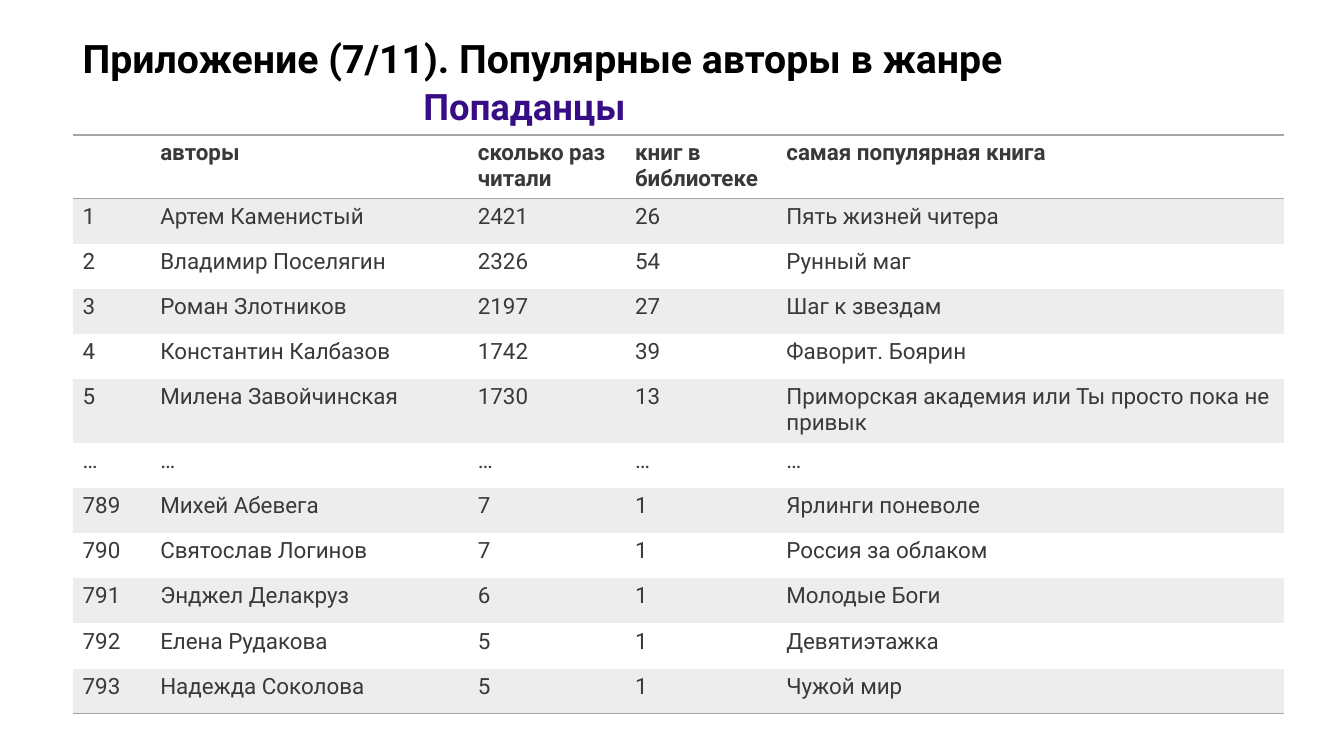
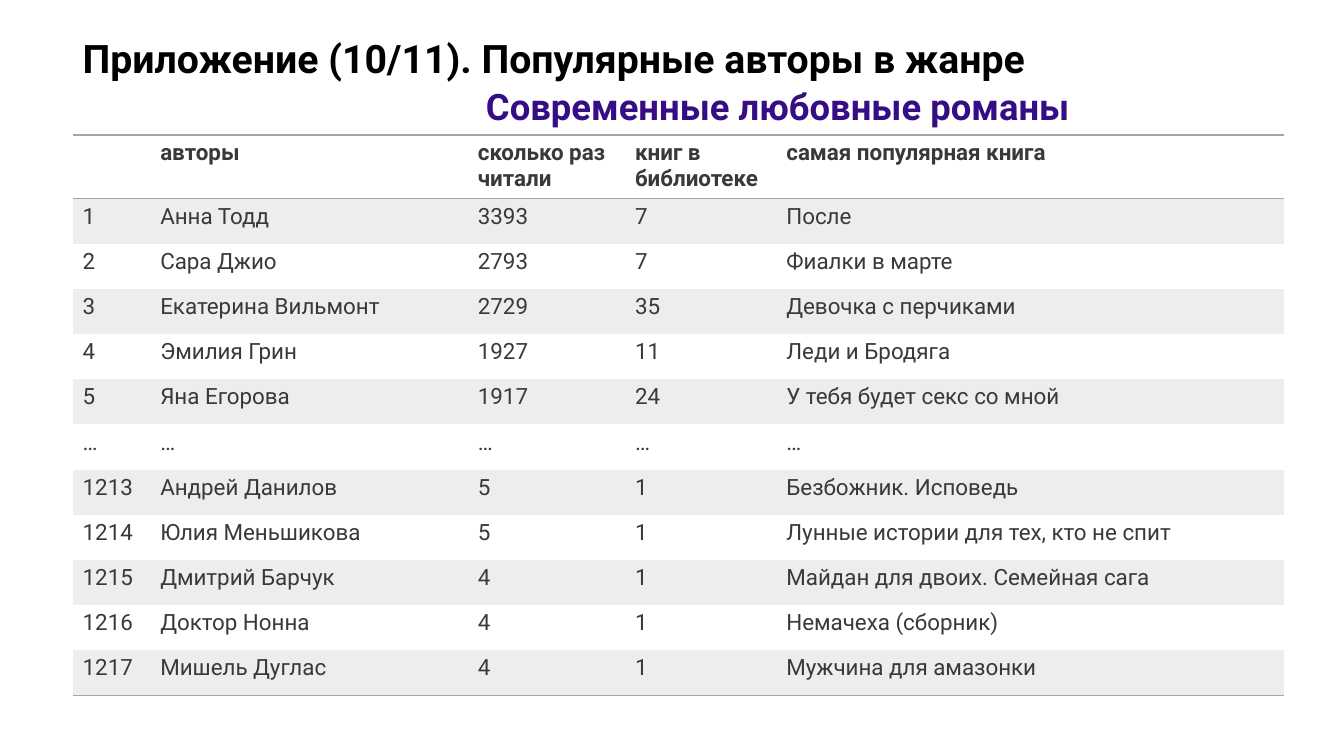
import dataclasses

import pptx
import pptx.dml.color
import pptx.enum.text
import pptx.oxml.ns
import pptx.util
from lxml import etree

Inches = pptx.util.Inches
Pt = pptx.util.Pt
qn = pptx.oxml.ns.qn


@dataclasses.dataclass(frozen=True)
class Theme:
    font: str = "Roboto"
    title: str = "000000"
    genre: str = "370D86"
    body: str = "3B3838"
    band: str = "EDEDED"
    rule: str = "A5A5A5"
    title_size: int = 28
    genre_size: int = 26
    body_size: int = 16
    rule_width: int = 1


THEME = Theme()
PLAIN_TABLE_STYLE = "{2D5ABB26-0587-4C30-8999-92F81FD0307C}"

LEFT = 0.72
TITLE_TOP, TITLE_HEIGHT = 0.29, 1.04
TABLE_TOP, TABLE_HEIGHT = 1.34, 5.56
TWO_LINE_ROW = 0.63
COLUMNS = [0.77, 3.15, 1.56, 1.5, 5.04]
HEADER = ["", "авторы", "сколько раз читали", "книг в библиотеке", "самая популярная книга"]
GAP_ROW = ["…"] * len(COLUMNS)

TIME_TRAVEL_AUTHORS = [
    ["1", "Артем Каменистый", "2421", "26", "Пять жизней читера"],
    ["2", "Владимир Поселягин", "2326", "54", "Рунный маг"],
    ["3", "Роман Злотников", "2197", "27", "Шаг к звездам"],
    ["4", "Константин Калбазов", "1742", "39", "Фаворит. Боярин"],
    ["5", "Милена Завойчинская", "1730", "13", "Приморская академия или Ты просто пока не привык"],
    GAP_ROW,
    ["789", "Михей Абевега", "7", "1", "Ярлинги поневоле"],
    ["790", "Святослав Логинов", "7", "1", "Россия за облаком"],
    ["791", "Энджел Делакруз", "6", "1", "Молодые Боги"],
    ["792", "Елена Рудакова", "5", "1", "Девятиэтажка"],
    ["793", "Надежда Соколова", "5", "1", "Чужой мир"],
]

ROMANCE_AUTHORS = [
    ["1", "Анна Тодд", "3393", "7", "После"],
    ["2", "Сара Джио", "2793", "7", "Фиалки в марте"],
    ["3", "Екатерина Вильмонт", "2729", "35", "Девочка с перчиками"],
    ["4", "Эмилия Грин", "1927", "11", "Леди и Бродяга"],
    ["5", "Яна Егорова", "1917", "24", "У тебя будет секс со мной"],
    GAP_ROW,
    ["1213", "Андрей Данилов", "5", "1", "Безбожник. Исповедь"],
    ["1214", "Юлия Меньшикова", "5", "1", "Лунные истории для тех, кто не спит"],
    ["1215", "Дмитрий Барчук", "4", "1", "Майдан для двоих. Семейная сага"],
    ["1216", "Доктор Нонна", "4", "1", "Немачеха (сборник)"],
    ["1217", "Мишель Дуглас", "4", "1", "Мужчина для амазонки"],
]


def rgb(code):
    return pptx.dml.color.RGBColor.from_string(code)


def add_span(para, text, size, color, bold):
    span = para.add_run()
    span.text = text
    span.font.name = THEME.font
    span.font.size = Pt(size)
    span.font.bold = bold
    span.font.color.rgb = rgb(color)


def set_title(page, number, genre, width, genre_indent):
    """Fill the title placeholder: a heading line and an indented genre line."""
    box = page.shapes.title
    box.left, box.top = Inches(LEFT), Inches(TITLE_TOP)
    box.width, box.height = Inches(width), Inches(TITLE_HEIGHT)
    frame = box.text_frame
    frame.word_wrap = True
    frame.auto_size = pptx.enum.text.MSO_AUTO_SIZE.NONE
    frame.vertical_anchor = pptx.enum.text.MSO_ANCHOR.TOP

    heading = frame.paragraphs[0]
    add_span(heading, f"Приложение ({number}/11). Популярные авторы в жанре",
             THEME.title_size, THEME.title, True)
    genre_line = frame.add_paragraph()
    genre_line._p.get_or_add_pPr().set("marL", str(Inches(genre_indent)))
    genre_line.space_before = Pt(2)
    add_span(genre_line, genre, THEME.genre_size, THEME.genre, True)
    for para in frame.paragraphs:
        para.alignment = pptx.enum.text.PP_ALIGN.LEFT


def add_rule(cell, side):
    """Draw one cell border; side is "T" or "B". Call before filling the cell."""
    line = etree.SubElement(cell._tc.get_or_add_tcPr(), qn(f"a:ln{side}"),
                            w=str(Pt(THEME.rule_width)))
    fill = etree.SubElement(line, qn("a:solidFill"))
    etree.SubElement(fill, qn("a:srgbClr"), val=THEME.rule)


def format_cell(cell, text, row, last_row):
    is_header = row == 0
    if text:
        add_span(cell.text_frame.paragraphs[0], text, THEME.body_size, THEME.body, is_header)
    if is_header:
        add_rule(cell, "T")
    if row in (0, last_row):
        add_rule(cell, "B")
    if row % 2:
        cell.fill.solid()
        cell.fill.fore_color.rgb = rgb(THEME.band)
    else:
        cell.fill.background()


def add_author_table(page, authors, tall_rows):
    rows = [HEADER] + authors
    row_height = (TABLE_HEIGHT - TWO_LINE_ROW) / len(authors)
    heights = [TWO_LINE_ROW if row == 0 or row in tall_rows else row_height
               for row in range(len(rows))]
    frame = page.shapes.add_table(len(rows), len(COLUMNS), Inches(LEFT), Inches(TABLE_TOP),
                                  Inches(sum(COLUMNS)), Inches(sum(heights)))
    table = frame.table
    table.horz_banding = False
    table.first_row = False
    for style in frame.element.iter(qn("a:tableStyleId")):
        style.text = PLAIN_TABLE_STYLE
    for column, width in zip(table.columns, COLUMNS):
        column.width = Inches(width)
    for row, (texts, height) in enumerate(zip(rows, heights)):
        table.rows[row].height = Inches(height)
        for column, text in enumerate(texts):
            format_cell(table.cell(row, column), text, row, len(authors))


def add_genre_page(deck, number, genre, authors, title_width, genre_indent, tall_rows=()):
    page = deck.slides.add_slide(deck.slide_layouts.get_by_name("Title Only"))
    set_title(page, number, genre, title_width, genre_indent)
    add_author_table(page, authors, tall_rows)


def main():
    deck = pptx.Presentation()
    deck.slide_width, deck.slide_height = Inches(13.33), Inches(7.5)
    add_genre_page(deck, 7, "Попаданцы", TIME_TRAVEL_AUTHORS,
                   title_width=9.95, genre_indent=3.38, tall_rows=(5,))
    add_genre_page(deck, 10, "Современные любовные романы", ROMANCE_AUTHORS,
                   title_width=11.5, genre_indent=4)
    deck.save("out.pptx")


if __name__ == "__main__":
    main()
